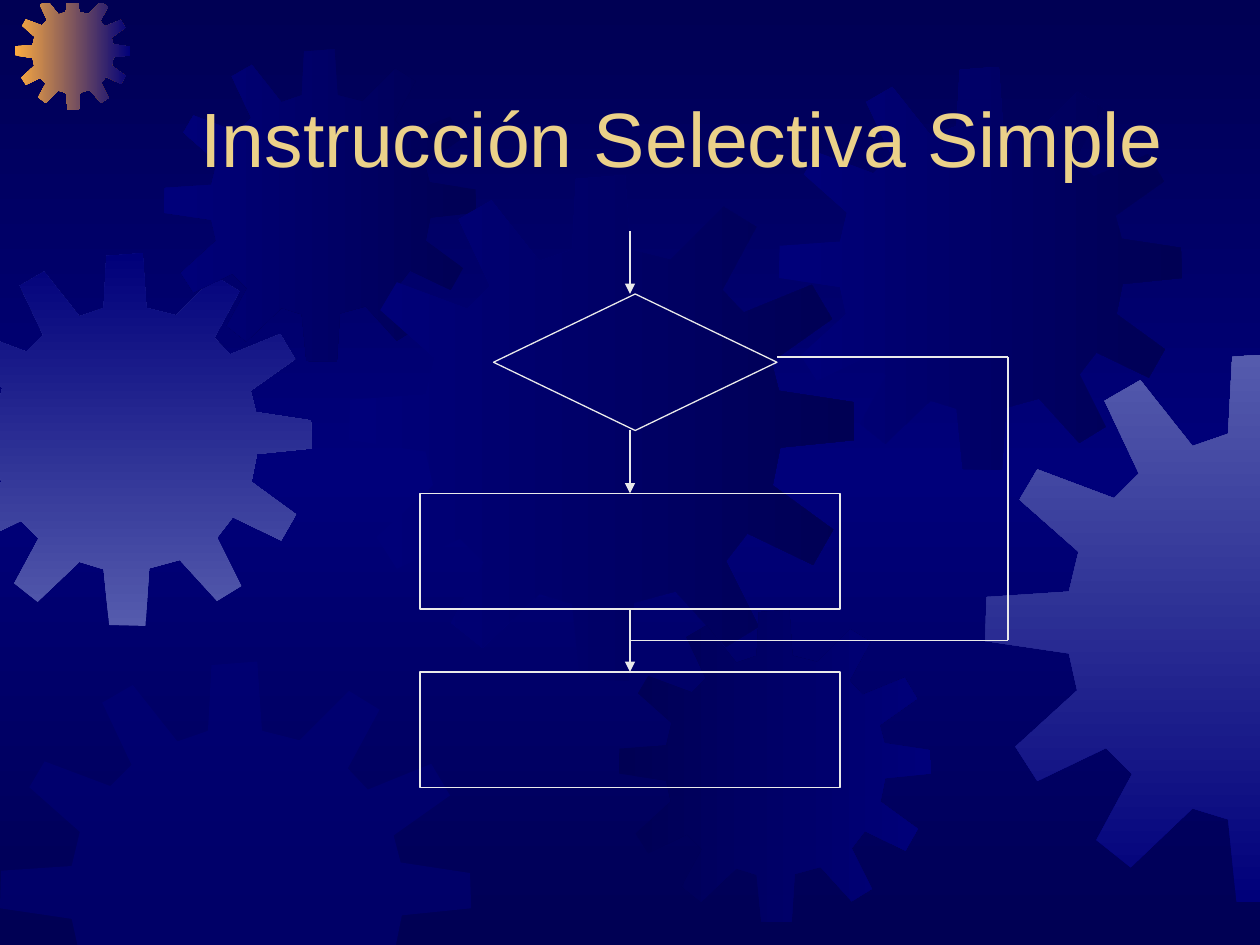
from copy import deepcopy

from lxml import etree
from pptx import Presentation
from pptx.dml.color import RGBColor
from pptx.enum import shapes, text
from pptx.oxml import ns
from pptx.util import Pt

COLORS = {
    "night": "000054",
    "navy": "00007A",
    "mist": "555BAD",
    "orange": "FCAB40",
    "line": "EAEAEA",
    "title": "EBD189",
}
RGB = {name: RGBColor.from_string(value) for name, value in COLORS.items()}

GEAR_SIZE = 401
GEAR = [
    (255, 67), (223, 59), (219, 0), (180, 3), (177, 59), (151, 68), (113, 20), (87, 35),
    (112, 88), (94, 106), (38, 85), (25, 107), (68, 145), (61, 174), (1, 178), (0, 210),
    (61, 219), (67, 246), (22, 287), (38, 312), (88, 288), (107, 307), (81, 355), (106, 375),
    (151, 332), (177, 340), (183, 400), (222, 401), (226, 339), (259, 330), (299, 374), (325, 358),
    (299, 306), (316, 284), (368, 309), (384, 281), (336, 246), (342, 216), (401, 210), (400, 180),
    (341, 171), (335, 148), (383, 114), (367, 87), (313, 109), (296, 91), (323, 41), (297, 25),
]


def clip(points, axis, limit, sign):
    kept = []
    for a, b in zip(points, points[1:] + points[:1]):
        da, db = sign * (a[axis] - limit), sign * (b[axis] - limit)
        if da >= 0:
            kept.append(a)
        if da * db < 0:
            t = da / (da - db)
            kept.append(tuple(m + t * (n - m) for m, n in zip(a, b)))
    return kept


def add_line(start, end, arrow=False):
    line = s.shapes.add_connector(
        shapes.MSO_CONNECTOR.STRAIGHT, *[Pt(v) for v in start + end])
    line.line.color.rgb = RGB["line"]
    line.line.width = Pt(0.75)
    if arrow:
        etree.SubElement(line.line._get_or_add_ln(), ns.qn("a:tailEnd"), type="triangle")
    etree.SubElement(line._element.spPr, ns.qn("a:effectLst"))
    return line


prs = Presentation()
prs.slide_width, prs.slide_height = Pt(720), Pt(540)
s = prs.slides.add_slide(prs.slide_layouts[6])

fill = s.background.fill
fill.gradient()
fill.gradient_angle = 270
stops = s._element.find(".//" + ns.qn("a:gsLst"))
stops.append(deepcopy(stops[-1]))
for stop, position, color in zip(
        fill.gradient_stops, (0, 0.5, 1), ("night", "navy", "night")):
    stop.position = position
    stop.color.rgb = RGB[color]

gears = [
    (-34.8, 144.7, 213, "mist", "navy", 90),
    (8.6, -2.9, 66, "orange", "navy", 0),
    (93.6, 28.1, 178.6, "night", "navy", 180),
    (199.4, 100.1, 289, "navy", "night", 0),
    (0, 378, 269.3, "navy", None, 0),
    (353.5, 348.5, 178.6, "night", "navy", 0),
    (445, 38.2, 230.4, "navy", "night", 0),
    (563, 201.6, 314.5, "navy", "mist", 90),
]
edges = [(0, 0, 1), (0, 720, -1), (1, 1.5, 1), (1, 540, -1)]
for left, top, size, first, last, angle in gears:
    k = size / GEAR_SIZE
    points = [(left + x * k, top + y * k) for x, y in GEAR]
    for edge in edges:
        points = clip(points, *edge)
    points = [(Pt(x), Pt(y)) for x, y in points]
    builder = s.shapes.build_freeform(*points[0])
    builder.add_line_segments(points[1:], close=True)
    sp = builder.convert_to_shape()
    sp.shadow.inherit = False
    sp.line.fill.background()
    if last:
        sp.fill.gradient()
        sp.fill.gradient_angle = angle
        for stop, color in zip(sp.fill.gradient_stops, (first, last)):
            stop.color.rgb = RGB[color]
    else:
        sp.fill.solid()
        sp.fill.fore_color.rgb = RGB[first]
        srgb = sp._element.spPr.find(".//" + ns.qn("a:srgbClr"))
        etree.SubElement(srgb, ns.qn("a:alpha"), val="50000")

title = s.shapes.add_textbox(Pt(84), Pt(42), Pt(612), Pt(66))
tf = title.text_frame
tf.word_wrap = True
tf.vertical_anchor = text.MSO_ANCHOR.BOTTOM
p = tf.paragraphs[0]
p.alignment = text.PP_ALIGN.CENTER
r = p.add_run()
r.text = "Instrucción Selectiva Simple"
r.font.size = Pt(44)
r.font.name = "Arial"
r.font.color.rgb = RGB["title"]

boxes = []
for kind, *frame in [
    (shapes.MSO_SHAPE.RECTANGLE, 240, 282, 240, 66),
    (shapes.MSO_SHAPE.RECTANGLE, 240, 384, 240, 66),
    (shapes.MSO_SHAPE.FLOWCHART_DECISION, 282, 168, 162, 78),
]:
    sp = s.shapes.add_shape(kind, *[Pt(v) for v in frame])
    sp.shadow.inherit = False
    sp.fill.background()
    sp.line.color.rgb = RGB["line"]
    sp.line.width = Pt(0.75)
    boxes.append(sp)
action, following, decision = boxes

add_line((360, 132), (360, 168), arrow=True)
enter = add_line((360, 246), (360, 282), arrow=True)
enter.end_connect(action, 0)
leave = add_line((360, 348), (360, 384), arrow=True)
leave.begin_connect(action, 2)
leave.end_connect(following, 0)

bypass = [(444, 204), (576, 204), (576, 366), (360, 366)]
for start, end in zip(bypass, bypass[1:]):
    add_line(start, end)

prs.save("out.pptx")
